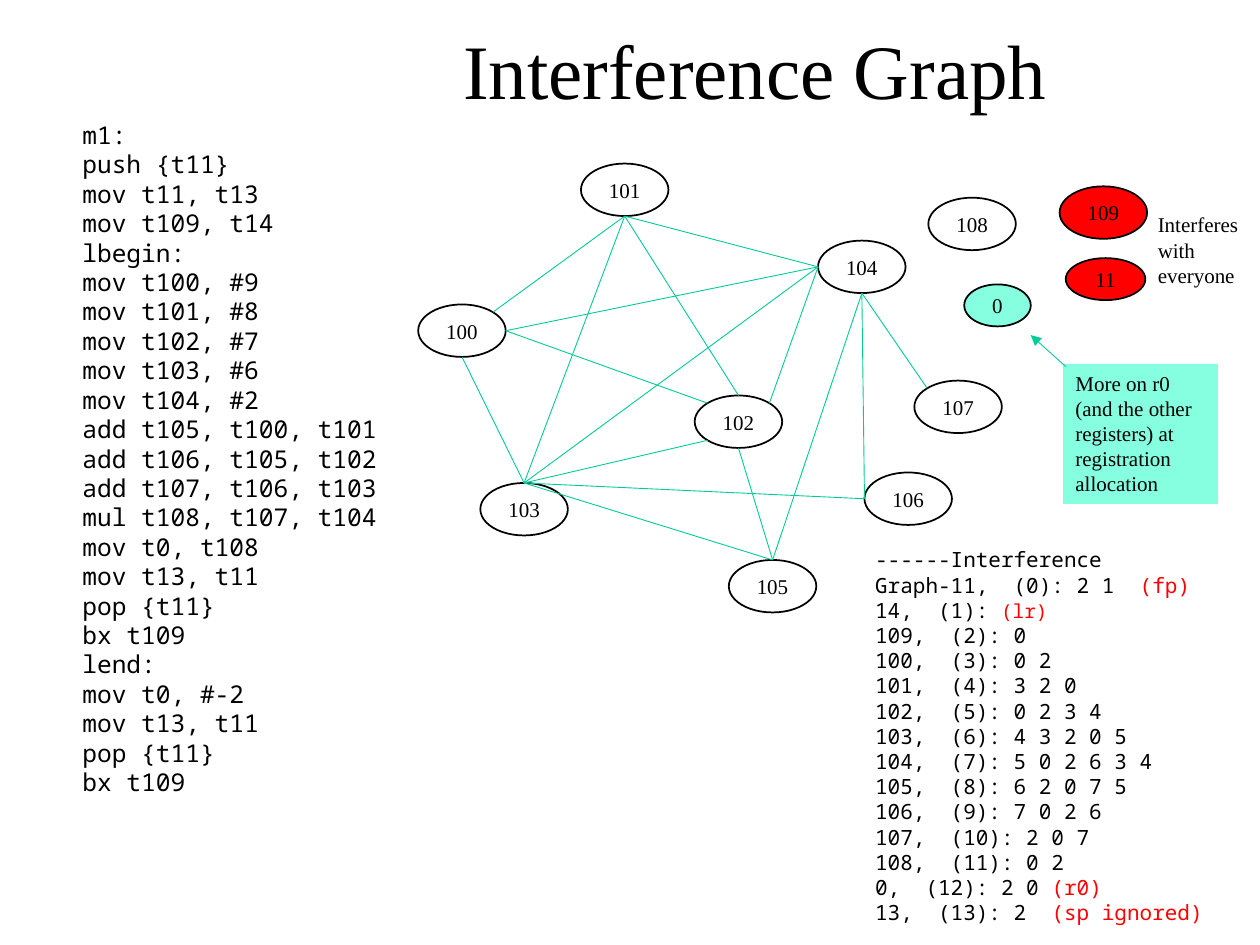
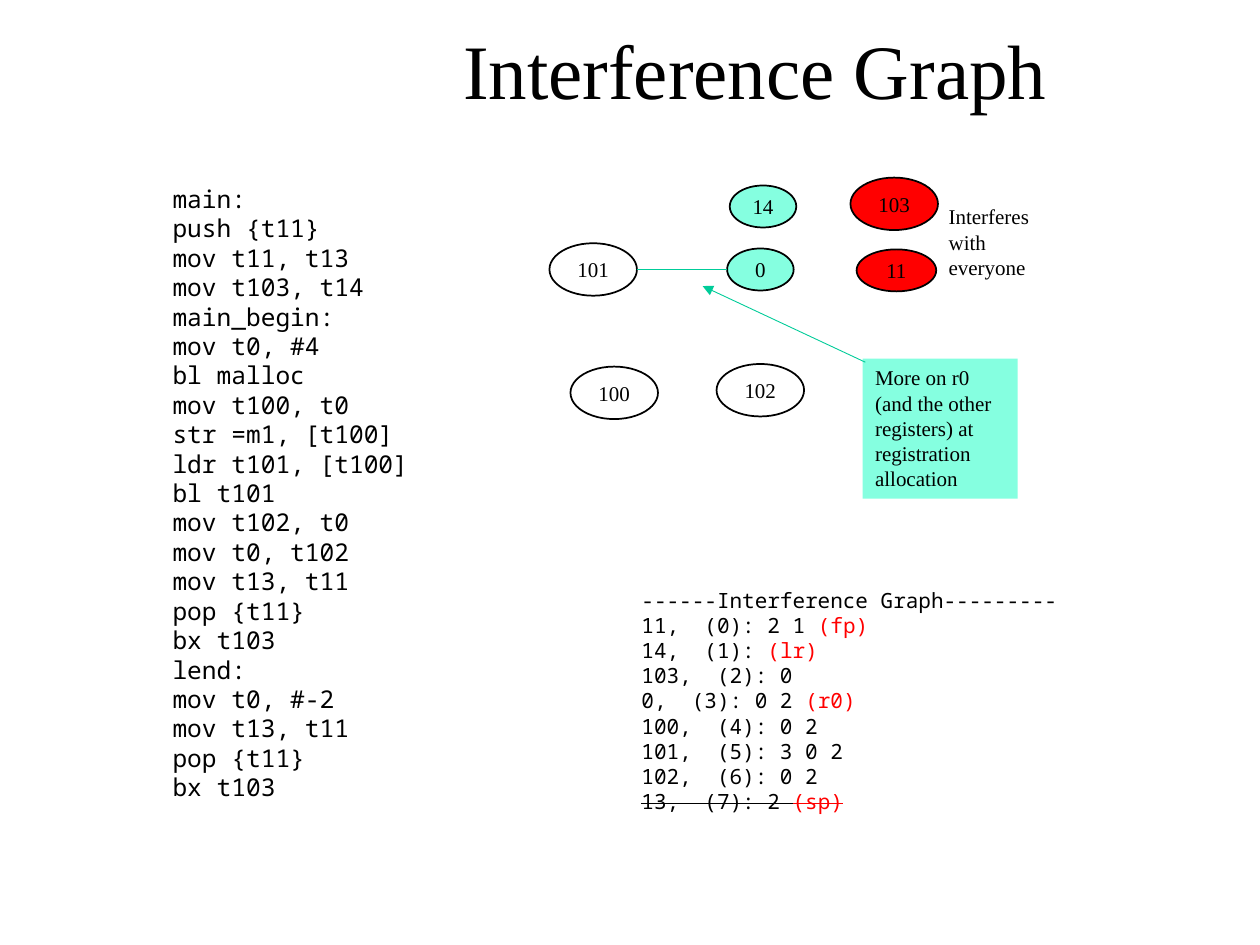
"""Build two slides that show register interference graphs beside their assembly code."""
import pptx
import pptx.dml.color
import pptx.enum.dml
import pptx.enum.shapes
import pptx.enum.text
import pptx.oxml
import pptx.oxml.ns
import pptx.util

Pt = pptx.util.Pt
SHAPES = pptx.enum.shapes.MSO_SHAPE
ALIGN = pptx.enum.text.PP_ALIGN
ANCHOR = pptx.enum.text.MSO_ANCHOR
AUTO_SIZE = pptx.enum.text.MSO_AUTO_SIZE

SERIF, MONO = "Times New Roman", "Noto Sans Mono"
BLACK, RED, MINT, GREEN = "000000", "FF0000", "85FFE0", "00CC99"
TITLE = "Interference Graph"
TITLE_BOX = (214, 18, 435, 43)
EVERYONE = "Interferes with everyone"
CALLOUT = "More on r0 (and the other registers) at registration allocation"
HARD_SPACE = chr(160)

NODE_KINDS = {
    "temp": (50, 30, None),
    "register": (38, 24, MINT),
    "busy": (50, 30, RED),
    "frame": (45.5, 24, RED),
}

DIAGONAL = 0.5 ** 0.5 / 2
NEAR, FAR = 0.5 - DIAGONAL, 0.5 + DIAGONAL
SIDES = {
    "top": (0.5, 0), "bottom": (0.5, 1), "left": (0, 0.5), "right": (1, 0.5),
    "top left": (NEAR, NEAR), "top right": (FAR, NEAR), "bottom left": (NEAR, FAR),
}

SLIDES = [
    {
        "code_box": (40, 65, 222, 397),
        "code": [
            "m1:", "push {t11}", "mov t11, t13", "mov t109, t14", "lbegin:",
            "mov t100, #9", "mov t101, #8", "mov t102, #7", "mov t103, #6",
            "mov t104, #2", "add t105, t100, t101", "add t106, t105, t102",
            "add t107, t106, t103", "mul t108, t107, t104", "mov t0, t108",
            "mov t13, t11", "pop {t11}", "bx t109", "lend:", "mov t0, #-2",
            "mov t13, t11", "pop {t11}", "bx t109",
        ],
        "listing_box": (493, 309, 220, 225),
        "heading": "------Interference Graph-",
        "heading_alone": False,
        "rows": [
            ("11", "2 1", " (fp)"), ("14", "", "(lr)", 11), ("109", "0"),
            ("100", "0 2"), ("101", "3 2 0"), ("102", "0 2 3 4"),
            ("103", "4 3 2 0 5"), ("104", "5 0 2 6 3 4"), ("105", "6 2 0 7 5"),
            ("106", "7 0 2 6"), ("107", "2 0 7"), ("108", "0 2"),
            ("0", "2 0", "(r0)"), ("13", "2", " (sp ignored)"),
        ],
        "struck": None,
        "nodes": {
            "100": ("temp", 239, 174), "101": ("temp", 332, 93.5),
            "102": ("temp", 397, 226), "103": ("temp", 274.5, 276),
            "104": ("temp", 467.5, 137.5), "105": ("temp", 416.5, 320),
            "106": ("temp", 494, 270), "107": ("temp", 522.5, 217.5),
            "108": ("temp", 530.5, 113), "0": ("register", 551, 162.5),
            "11": ("frame", 609, 147.5), "109": ("busy", 605.5, 106.5),
        },
        "edges": [
            ("100", "top right", "101", "bottom"), ("100", "right", "102", "top left"),
            ("101", "bottom", "102", "top"), ("101", "bottom", "103", "top"),
            ("100", "bottom", "103", "top"), ("102", "bottom left", "103", "top"),
            ("102", "top right", "104", "left"), ("103", "top", "104", "left"),
            ("100", "right", "104", "left"), ("101", "bottom", "104", "left"),
            ("103", "top", "105", "top"), ("104", "bottom", "105", "top"),
            ("102", "bottom", "105", "top"), ("104", "bottom", "106", "left"),
            ("103", "top", "106", "left"), ("104", "bottom", "107", "top left"),
        ],
        "everyone_box": (654.5, 117.5, 65.5, 51),
        "callout_box": (607.5, 208, 88.5, 80),
        "arrow": ((609, 209.5), (589, 191.5)),
    },
    {
        "code_box": (91.5, 101.5, 186.5, 364),
        "code": [
            "main:", "push {t11}", "mov t11, t13", "mov t103, t14", "main_begin:",
            "mov t0, #4", "bl malloc", "mov t100, t0", "str =m1, [t100]",
            "ldr t101, [t100]", "bl t101", "mov t102, t0", "mov t0, t102",
            "mov t13, t11", "pop {t11}", "bx t103", "lend:", "mov t0, #-2",
            "mov t13, t11", "pop {t11}", "bx t103",
        ],
        "listing_box": (359.5, 332, 260.5, 138),
        "heading": "------Interference Graph---------",
        "heading_alone": True,
        "rows": [
            ("11", "2 1", "(fp)"), ("14", "", "(lr)"), ("103", "0"),
            ("0", "0 2", "(r0)"), ("100", "0 2"), ("101", "3 0 2"),
            ("102", "0 2"), ("13", "2", "(sp)"),
        ],
        "struck": "13",
        "nodes": {
            "100": ("temp", 326, 209.5), "101": ("temp", 314, 139),
            "102": ("temp", 409.5, 208), "0": ("register", 415.5, 142),
            "11": ("frame", 489.5, 142.5), "103": ("busy", 486, 101.5),
            "14": ("register", 417, 106),
        },
        "edges": [("101", "right", "0", "left")],
        "everyone_box": (535, 113, 65.5, 51),
        "callout_box": (493, 205, 88.5, 80),
        "arrow": ((494.5, 207), (401.5, 163.5)),
    },
]


def color(value):
    return pptx.dml.color.RGBColor.from_string(value)


def format_span(span, font, size, ink=BLACK):
    span.font.name = font
    span.font.size = Pt(size)
    span.font.color.rgb = color(ink)


def write(frame, lines, font, size, align=ALIGN.LEFT):
    frame.text = "\n".join(lines)
    for para in frame.paragraphs:
        para.alignment = align
        for span in para.runs:
            format_span(span, font, size)


def add_text(page, box, lines, font, size):
    frame = page.shapes.add_textbox(*map(Pt, box)).text_frame
    frame.word_wrap = True
    frame.auto_size = AUTO_SIZE.SHAPE_TO_FIT_TEXT
    write(frame, lines, font, size)
    return frame


def add_title(page):
    title = page.shapes.title
    title.left, title.top, title.width, title.height = map(Pt, TITLE_BOX)
    frame = title.text_frame
    frame.word_wrap = True
    frame.auto_size = AUTO_SIZE.NONE
    frame.vertical_anchor = ANCHOR.MIDDLE
    write(frame, [TITLE], SERIF, 44, ALIGN.CENTER)


def add_listing(page, content):
    lines = []
    for number, (register, neighbours, *_) in enumerate(content["rows"]):
        gap = " " if neighbours else ""
        lines.append(f"{register},{HARD_SPACE} ({number}):{gap}{neighbours}{HARD_SPACE}")
    if content["heading_alone"]:
        lines.insert(0, content["heading"])
    else:
        lines[0] = content["heading"] + lines[0]
    frame = add_text(page, content["listing_box"], lines, MONO, 12)
    row_paras = frame.paragraphs[-len(content["rows"]):]
    for para, (register, _, *note) in zip(row_paras, content["rows"]):
        if note:
            span = para.add_run()
            span.text = note[0]
            format_span(span, MONO, note[1] if len(note) > 1 else 12, RED)
        if register == content["struck"]:
            for span in para.runs:
                span._r.get_or_add_rPr().set("strike", "sngStrike")


def add_node(page, name, kind, left, top):
    width, height, fill = NODE_KINDS[kind]
    node = page.shapes.add_shape(SHAPES.OVAL, Pt(left), Pt(top), Pt(width), Pt(height))
    node.shadow.inherit = False
    if fill:
        node.fill.solid()
        node.fill.fore_color.rgb = color(fill)
    else:
        node.fill.background()
    node.line.color.rgb = color(BLACK)
    node.line.width = Pt(1)
    frame = node.text_frame
    frame.margin_left = frame.margin_right = 0
    frame.vertical_anchor = ANCHOR.MIDDLE
    write(frame, [name], SERIF, 12, ALIGN.CENTER)


def add_line(page, start, end, arrow=False):
    line = page.shapes.add_connector(
        pptx.enum.shapes.MSO_CONNECTOR.STRAIGHT, *map(Pt, (*start, *end)))
    line.line.color.rgb = color(GREEN)
    line.line.width = Pt(0.5)
    properties = line._element.spPr
    if arrow:
        head = pptx.oxml.parse_xml(
            f'<a:tailEnd {pptx.oxml.ns.nsdecls("a")} type="triangle"/>')
        line.line._get_or_add_ln().append(head)
    properties.append(pptx.oxml.parse_xml(f'<a:effectLst {pptx.oxml.ns.nsdecls("a")}/>'))


def node_point(nodes, name, side):
    kind, left, top = nodes[name]
    width, height, _ = NODE_KINDS[kind]
    across, down = SIDES[side]
    return left + across * width, top + down * height


def add_callout(page, box):
    callout = page.shapes.add_shape(SHAPES.RECTANGLE, *map(Pt, box))
    callout.shadow.inherit = False
    callout.fill.solid()
    callout.fill.fore_color.rgb = color(MINT)
    callout.line.fill.background()
    frame = callout.text_frame
    frame.word_wrap = True
    frame.auto_size = AUTO_SIZE.SHAPE_TO_FIT_TEXT
    frame.vertical_anchor = ANCHOR.TOP
    write(frame, [CALLOUT], SERIF, 12)


def add_page(deck, content):
    page = deck.slides.add_slide(deck.slide_layouts[5])
    nodes = content["nodes"]
    add_title(page)
    add_listing(page, content)
    add_text(page, content["code_box"], content["code"], MONO, 14)
    for name, place in nodes.items():
        add_node(page, name, *place)
    for first, first_side, second, second_side in content["edges"]:
        add_line(page, node_point(nodes, first, first_side),
                 node_point(nodes, second, second_side))
    add_text(page, content["everyone_box"], [EVERYONE], SERIF, 12)
    add_callout(page, content["callout_box"])
    add_line(page, *content["arrow"], arrow=True)


def main():
    deck = pptx.Presentation()
    deck.slide_width, deck.slide_height = Pt(720), Pt(540)
    for content in SLIDES:
        add_page(deck, content)
    deck.save("out.pptx")


if __name__ == "__main__":
    main()
